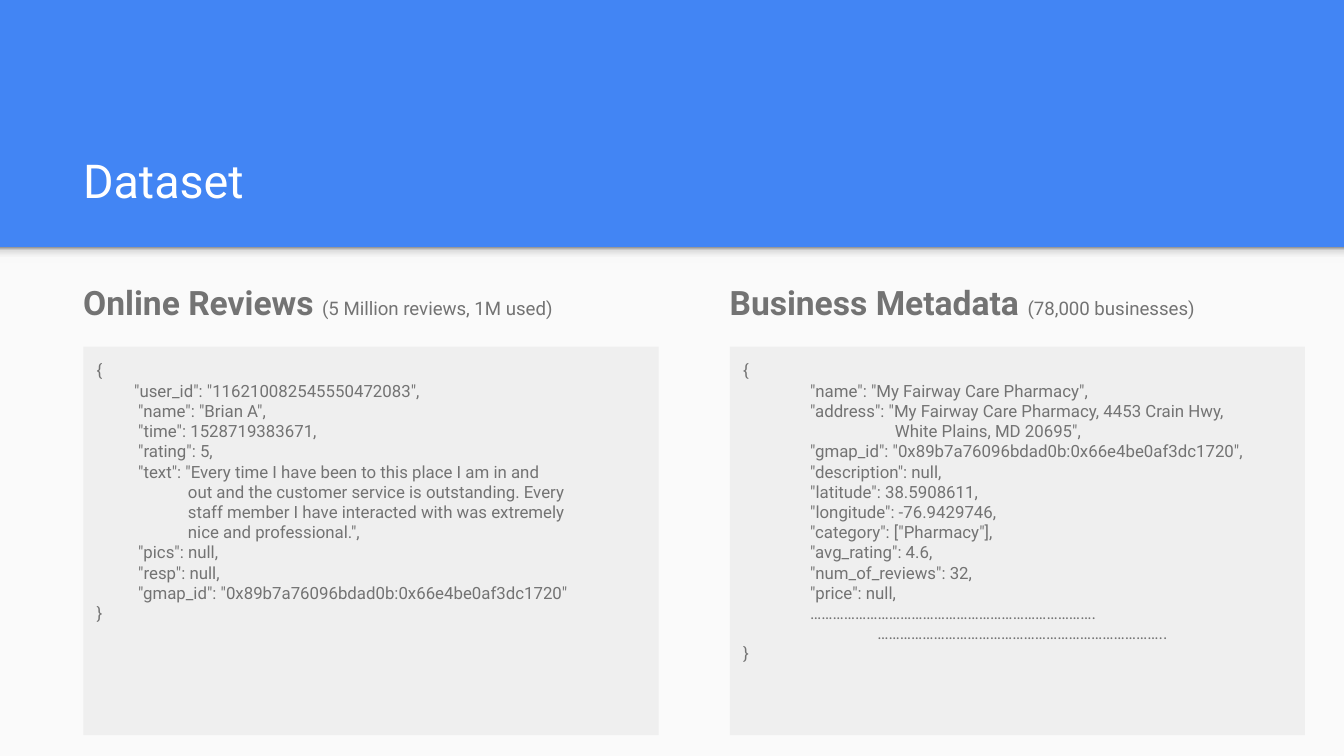
from lxml import etree
from pptx import Presentation
from pptx.dml.color import RGBColor
from pptx.enum.shapes import MSO_SHAPE
from pptx.enum.text import MSO_ANCHOR, PP_ALIGN
from pptx.oxml.ns import qn
from pptx.util import Inches, Pt

COLORS = {"blue": "4285F4", "page": "FAFAFA", "card": "EFEFEF",
          "text": "737373", "white": "FFFFFF"}
SHADOW_STOPS = [(0, "F9F9F9"), (36, "F9F9F9"), (80, "DEDEDE"), (100, "999999")]
FONT = "Roboto"

# Each line is (left indent in inches, text)
REVIEW = [
    (0, '{'),
    (0.28, '"user_id": "116210082545550472083",'),
    (0.31, '"name": "Brian A",'),
    (0.31, '"time": 1528719383671,'),
    (0.31, '"rating": 5,'),
    (0.31, '"text": "Every time I have been to this place I am in and'),
    (0.68, 'out and the customer service is outstanding. Every'),
    (0.68, 'staff member I have interacted with was extremely'),
    (0.68, 'nice and professional.",'),
    (0.31, '"pics": null,'),
    (0.31, '"resp": null,'),
    (0.31, '"gmap_id": "0x89b7a76096bdad0b:0x66e4be0af3dc1720"'),
    (0, '}'),
]
BUSINESS = [
    (0, '{'),
    (0.5, '"name": "My Fairway Care Pharmacy",'),
    (0.5, '"address": "My Fairway Care Pharmacy, 4453 Crain Hwy,'),
    (1.13, 'White Plains, MD 20695",'),
    (0.5, '"gmap_id": "0x89b7a76096bdad0b:0x66e4be0af3dc1720",'),
    (0.5, '"description": null,'),
    (0.5, '"latitude": 38.5908611,'),
    (0.5, '"longitude": -76.9429746,'),
    (0.5, '"category": ["Pharmacy"],'),
    (0.5, '"avg_rating": 4.6,'),
    (0.5, '"num_of_reviews": 32,'),
    (0.5, '"price": null,'),
    (0.5, '………………………………………………………………….'),
    (1, '…………………………………………………………………..'),
    (0, '}'),
]


def add_run(p, text, color="text", **fmt):
    r = p.add_run()
    r.text = text
    for name, value in {"name": FONT, **fmt}.items():
        setattr(r.font, name, value)
    r.font.color.rgb = RGBColor.from_string(COLORS[color])


def set_frame(sp, anchor=MSO_ANCHOR.TOP):
    tf = sp.text_frame
    fmt = {"word_wrap": True, "vertical_anchor": anchor}
    fmt.update({f"margin_{side}": Inches(0.1)
                for side in ("left", "top", "right", "bottom")})
    for name, value in fmt.items():
        setattr(tf, name, value)
    return tf


def add_text(slide, x, y, w, h, anchor=MSO_ANCHOR.TOP):
    box = slide.shapes.add_textbox(Inches(x), Inches(y), Inches(w), Inches(h))
    return set_frame(box, anchor)


def add_rect(slide, x, y, w, h, color):
    sp = slide.shapes.add_shape(MSO_SHAPE.RECTANGLE, Inches(x), Inches(y),
                                Inches(w), Inches(h))
    sp.shadow.inherit = False
    sp.fill.solid()
    sp.fill.fore_color.rgb = RGBColor.from_string(COLORS[color])
    sp.line.fill.background()
    return sp


def add_page(slide, x, y, w, h):
    """Light lower page with a soft shadow along its top edge."""
    add_rect(slide, x, y, w, h, "page")
    edge = add_rect(slide, x, y, w, 0.12, "page")
    edge.fill.gradient()
    edge.fill.gradient_angle = 90
    stops = next(edge.element.iter(qn("a:gsLst")))
    for stop in list(stops):
        stops.remove(stop)
    for pos, color in SHADOW_STOPS:
        stop = etree.SubElement(stops, qn("a:gs"), pos=str(pos * 1000))
        etree.SubElement(stop, qn("a:srgbClr"), val=color)


def add_title(slide, x, y, w, h, text):
    tf = add_text(slide, x, y, w, h, MSO_ANCHOR.BOTTOM)
    add_run(tf.paragraphs[0], text, "white", size=Pt(25))


def add_panel(slide, x, y, w, h, heading, note, lines):
    """Heading with a small note, above a card holding a JSON record."""
    p = add_text(slide, x, y, w, h).paragraphs[0]
    p.line_spacing, p.space_after = 1.15, Pt(12)
    add_run(p, heading + " ", size=Pt(18), bold=True)
    add_run(p, note, size=Pt(10), bold=False)

    card = add_rect(slide, x + 0.1, y + 0.63, w - 0.2, h - 0.72, "card")
    tf = set_frame(card)
    for i, (indent, text) in enumerate(lines):
        p = tf.add_paragraph() if i else tf.paragraphs[0]
        p.alignment = PP_ALIGN.LEFT
        pPr = p._p.get_or_add_pPr()
        pPr.set("marL", str(Inches(indent)))
        pPr.set("indent", "0")
        add_run(p, text, size=Pt(9))


def main():
    prs = Presentation()
    # Widescreen, 16:9
    prs.slide_width = Inches(10)
    prs.slide_height = prs.slide_width * 9 // 16
    slide = prs.slides.add_slide(prs.slide_layouts[6])
    slide.background.fill.solid()
    slide.background.fill.fore_color.rgb = RGBColor.from_string(COLORS["blue"])

    add_page(slide, 0, 1.84, 10, 3.79)
    add_title(slide, 0.52, 0.81, 8.99, 0.84, "Dataset")
    panels = [("Online Reviews", "(5 Million reviews, 1M used)", REVIEW),
              ("Business Metadata", "(78,000 businesses)", BUSINESS)]
    for i, panel in enumerate(panels):
        add_panel(slide, 0.52 + i * 4.81, 1.95, 4.48, 3.61, *panel)
    prs.save("out.pptx")


if __name__ == "__main__":
    main()
